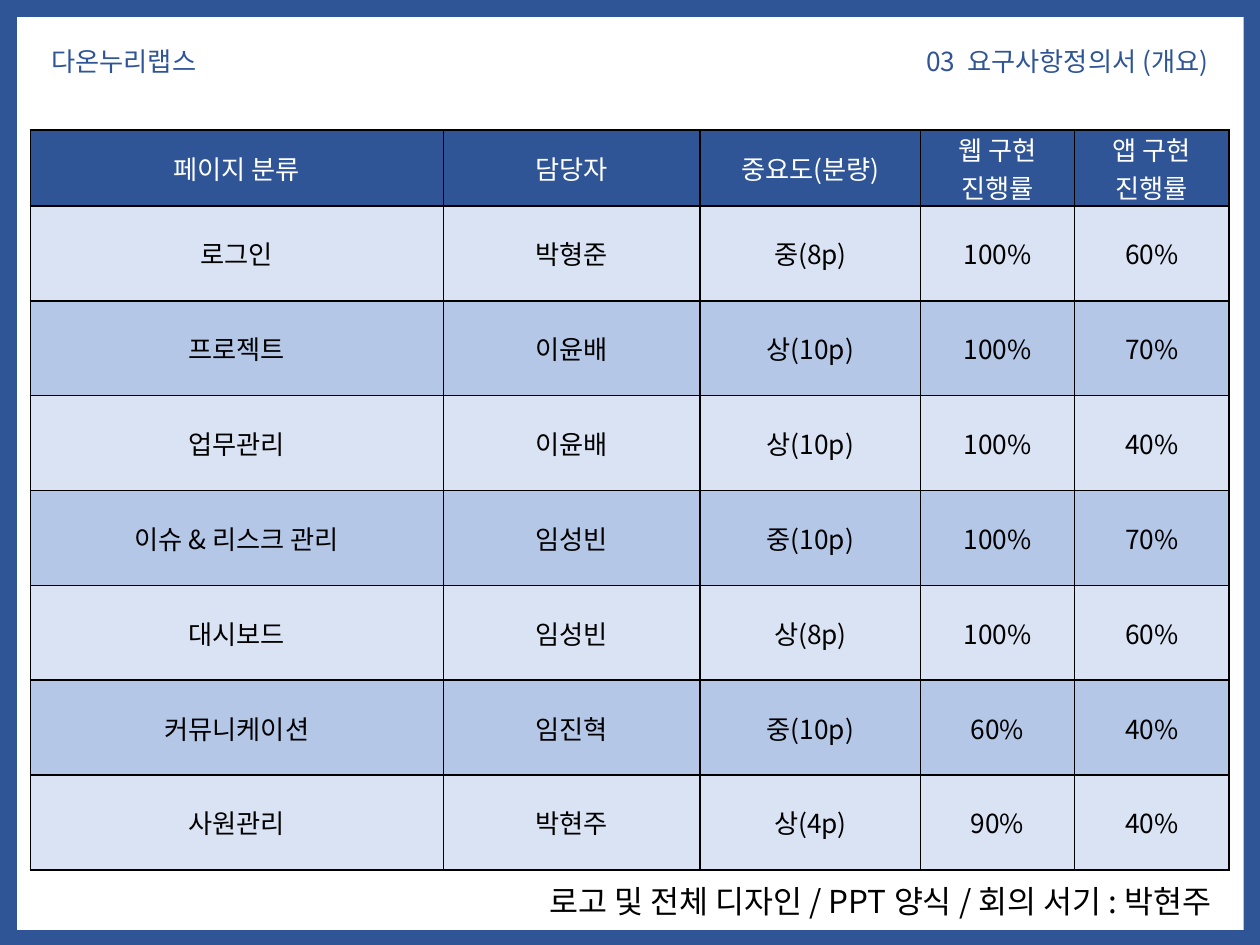
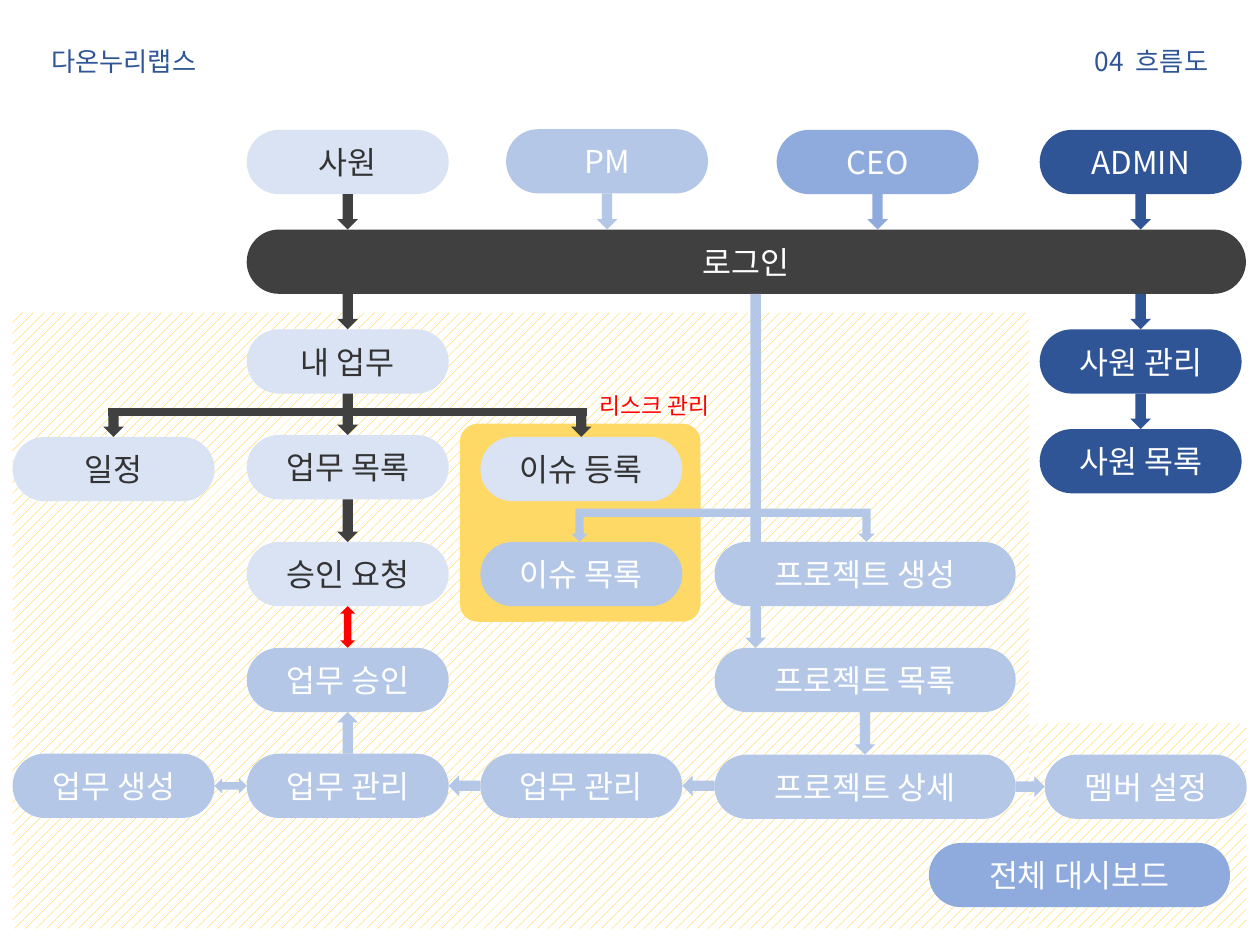
import pptx
import pptx.util
import pptx.dml.color
import pptx.enum.dml
import pptx.enum.shapes
import pptx.enum.text
import pptx.oxml
import pptx.oxml.ns
import lxml.etree

Pt = pptx.util.Pt
MSO = pptx.enum.shapes.MSO_SHAPE
ALIGN = pptx.enum.text.PP_ALIGN
MIDDLE = pptx.enum.text.MSO_ANCHOR.MIDDLE
qn = pptx.oxml.ns.qn

# ---------- Shared style ----------
FONT = "Noto Sans CJK KR"
COLORS = {
    "navy": "2F5597", "blue": "8FAADC", "sky": "B4C7E7", "pale": "DAE3F3",
    "dark": "404040", "ink": "333333", "black": "000000", "white": "FFFFFF",
    "red": "FF0000", "amber": "FFC000", "yellow": "FFD966",
}
COMPANY = "다온누리랩스"
HEADER_Y, HEADER_W, HEADER_H = 22.3, 211.7, 25.2

# ---------- Content: requirements table ----------
TABLE_AT = (17.3, 74.2)
COL_WIDTHS = [236.1, 146.7, 126, 87.9, 88.3]
HEAD_H, ROW_H = 43.4, 54.2
TABLE_HEAD = ["페이지 분류", "담당자", "중요도(분량)", "웹 구현\n진행률", "앱 구현\n진행률"]
TABLE_ROWS = [
    ["로그인", "박형준", "중(8p)", "100%", "60%"],
    ["프로젝트", "이윤배", "상(10p)", "100%", "70%"],
    ["업무관리", "이윤배", "상(10p)", "100%", "40%"],
    ["이슈 & 리스크 관리", "임성빈", "중(10p)", "100%", "70%"],
    ["대시보드", "임성빈", "상(8p)", "100%", "60%"],
    ["커뮤니케이션", "임진혁", "중(10p)", "60%", "40%"],
    ["사원관리", "박현주", "상(4p)", "90%", "40%"],
]
CREDITS = "로고 및 전체 디자인 / PPT 양식 / 회의 서기 : 박현주"

# ---------- Content: flow chart ----------
BOX_W, WIDE_W, LOGIN_W, BOX_H = 115.4, 172.1, 571, 36.7
COL = {"a": 7.2, "b": 141, "c": 274.5, "d": 408.3, "e": 594.1, "f": 597}
# key: (text, left, top, width, colour)
BOXES = {
    "staff": ("사원", COL["b"], 74.2, BOX_W, "pale"),
    "pm": ("PM", 289.2, 73.8, BOX_W, "sky"),
    "ceo": ("CEO", 443.8, 74.2, BOX_W, "blue"),
    "admin": ("ADMIN", COL["e"], 74.2, BOX_W, "navy"),
    "login": ("로그인", COL["b"], 131.2, LOGIN_W, "dark"),
    "my work": ("내 업무", COL["b"], 188.2, BOX_W, "pale"),
    "schedule": ("일정", COL["a"], 249.7, BOX_W, "pale"),
    "work list": ("업무 목록", COL["b"], 248.6, BOX_W, "pale"),
    "add issue": ("이슈 등록", COL["c"], 249.7, BOX_W, "pale"),
    "request": ("승인 요청", COL["b"], 309.7, BOX_W, "pale"),
    "issue list": ("이슈 목록", COL["c"], 309.7, BOX_W, "sky"),
    "approve": ("업무 승인", COL["b"], 370.2, BOX_W, "sky"),
    "manage": ("업무 관리", COL["b"], 430.7, BOX_W, "sky"),
    "add work": ("업무 생성", COL["a"], 430.7, BOX_W, "sky"),
    "staff admin": ("사원 관리", COL["e"], 188.2, BOX_W, "navy"),
    "staff list": ("사원 목록", COL["e"], 245.2, BOX_W, "navy"),
    "project work": ("업무 관리", COL["c"], 430.7, BOX_W, "sky"),
    "add project": ("프로젝트 생성", COL["d"], 309.7, WIDE_W, "sky"),
    "projects": ("프로젝트 목록", COL["d"], 370.2, WIDE_W, "sky"),
    "project": ("프로젝트 상세", COL["d"], 431.2, WIDE_W, "sky"),
    "members": ("멤버 설정", COL["f"], 431.2, BOX_W, "sky"),
    "dashboard": ("전체 대시보드", 530.8, 481.7, WIDE_W, "blue"),
}
ARROW_W, DOUBLE_W = 11.8, 8.6
# (upper box, lower box, shape, colour)
DOWN_LINKS = [
    ("staff", "login", MSO.DOWN_ARROW, "dark"),
    ("pm", "login", MSO.DOWN_ARROW, "sky"),
    ("ceo", "login", MSO.DOWN_ARROW, "blue"),
    ("admin", "login", MSO.DOWN_ARROW, "navy"),
    ("login", "my work", MSO.DOWN_ARROW, "dark"),
    ("login", "staff admin", MSO.DOWN_ARROW, "navy"),
    ("staff admin", "staff list", MSO.DOWN_ARROW, "navy"),
    ("my work", "work list", MSO.DOWN_ARROW, "dark"),
    ("work list", "request", MSO.DOWN_ARROW, "dark"),
    ("request", "approve", MSO.UP_DOWN_ARROW, "red"),
    ("approve", "manage", MSO.UP_ARROW, "sky"),
    ("projects", "project", MSO.DOWN_ARROW, "sky"),
]
# (left box, right box, shape)
SIDE_LINKS = [
    ("add work", "manage", MSO.LEFT_RIGHT_ARROW),
    ("manage", "project work", MSO.LEFT_ARROW),
    ("project work", "project", MSO.LEFT_ARROW),
    ("project", "members", MSO.RIGHT_ARROW),
]
HATCHED = [(568.8, 413.3, 143.3, 116.9), (7.2, 178.6, 581, 352)]
ISSUE_PANEL = (262.8, 242.1, 137.5, 113.2)
BRANCH_Y = 235.6
TRUNK_X = 431.8
# (left, top, width, height), flipped sideways
BENT_ARROWS = [((326.4, 290.7, 107.1, 19), True), ((427.5, 290.7, 72.4, 19), False)]


# ---------- Helpers ----------
def rgb(name):
    return pptx.dml.color.RGBColor.from_string(COLORS[name])


def add_run(p, text, size, color):
    r = p.add_run()
    r.text = text
    r.font.size = Pt(size)
    r.font.name = FONT
    r.font.color.rgb = rgb(color)
    ea = lxml.etree.SubElement(r.font._element, qn("a:ea"))
    ea.set("typeface", FONT)
    return r


def write(tf, text, size, color, align=ALIGN.CENTER):
    for i, line in enumerate(text.split("\n")):
        p = tf.add_paragraph() if i else tf.paragraphs[0]
        p.alignment = align
        add_run(p, line, size, color)


def add_shape(shapes, kind, at, color):
    sp = shapes.add_shape(kind, *map(Pt, at))
    sp.shadow.inherit = False
    sp.line.fill.background()
    sp.fill.solid()
    sp.fill.fore_color.rgb = rgb(color)
    return sp


def add_text(s, at, text, size, color, align):
    tf = s.shapes.add_textbox(*map(Pt, at)).text_frame
    tf.word_wrap = True
    tf.vertical_anchor = MIDDLE
    write(tf, text, size, color, align)


def add_header(s, number, title):
    add_text(s, (22.3, HEADER_Y, HEADER_W, HEADER_H), COMPANY, 15, "navy", ALIGN.LEFT)
    sp = s.shapes.title
    sp.left, sp.top, sp.width, sp.height = map(Pt, (486, HEADER_Y, HEADER_W, HEADER_H))
    tf = sp.text_frame
    tf.auto_size = pptx.enum.text.MSO_AUTO_SIZE.NONE
    tf.vertical_anchor = MIDDLE
    p = tf.paragraphs[0]
    p.alignment = ALIGN.RIGHT
    add_run(p, number, 15, "navy")
    gap = add_run(p, " ", 15, "navy")
    gap.font._element.set("spc", "340")
    add_run(p, title, 15, "navy")
    sp.element.getparent().append(sp.element)  # bring the title to the front


def set_borders(cell):
    tcPr = cell._tc.get_or_add_tcPr()
    for i, side in enumerate(("lnL", "lnR", "lnT", "lnB")):
        ln = lxml.etree.Element(qn("a:" + side), w=str(Pt(1)))
        fill = lxml.etree.SubElement(ln, qn("a:solidFill"))
        lxml.etree.SubElement(fill, qn("a:srgbClr"), val=COLORS["black"])
        tcPr.insert(i, ln)


# ---------- Slides ----------
def build_requirements(s):
    # Frame
    frame = s.shapes.add_group_shape()
    add_shape(frame.shapes, MSO.RECTANGLE, (0, 0, 720, 540), "navy")
    add_shape(frame.shapes, MSO.RECTANGLE, (9.8, 9.8, 700.8, 531.4 - 9.8), "white")
    add_header(s, "03", "요구사항정의서 (개요)")

    # Table
    rows = [TABLE_HEAD] + TABLE_ROWS
    size = (sum(COL_WIDTHS), HEAD_H + ROW_H * len(TABLE_ROWS))
    table = s.shapes.add_table(len(rows), len(COL_WIDTHS), *map(Pt, TABLE_AT + size)).table
    for col, width in zip(table.columns, COL_WIDTHS):
        col.width = Pt(width)
    for i, texts in enumerate(rows):
        table.rows[i].height = Pt(ROW_H if i else HEAD_H)
        fill = ("sky" if i % 2 == 0 else "pale") if i else "navy"
        for j, text in enumerate(texts):
            cell = table.cell(i, j)
            cell.fill.solid()
            cell.fill.fore_color.rgb = rgb(fill)
            cell.vertical_anchor = MIDDLE
            cell.margin_top = cell.margin_bottom = 0
            write(cell.text_frame, text, 15, "black" if i else "white")
            set_borders(cell)

    # Credits
    add_text(s, (272.2, 500.4, 427, 28.8), CREDITS, 18, "black", ALIGN.RIGHT)


def build_flow(s):
    # Background areas
    for at in HATCHED:
        sp = add_shape(s.shapes, MSO.RECTANGLE, at, "white")
        sp.fill.patterned()
        sp.fill.pattern = pptx.enum.dml.MSO_PATTERN.PERCENT_20
        sp.fill.fore_color.rgb = rgb("amber")
        sp.fill.back_color.rgb = rgb("white")
    panel = add_shape(s.shapes, MSO.ROUNDED_RECTANGLE, ISSUE_PANEL, "yellow")
    panel.adjustments[0] = 0.09
    add_header(s, "04", "흐름도")

    # Boxes
    for text, x, y, w, color in BOXES.values():
        sp = add_shape(s.shapes, MSO.ROUNDED_RECTANGLE, (x, y, w, BOX_H), color)
        sp.adjustments[0] = 0.5
        sp.text_frame.vertical_anchor = MIDDLE
        write(sp.text_frame, text, 18, "ink" if color == "pale" else "white")

    def top(key):
        return BOXES[key][2]

    def bottom(key):
        return top(key) + BOX_H

    def center(key):
        return BOXES[key][1] + BOXES[key][3] / 2

    def add_vertical(kind, cx, y1, y2, color):
        w = DOUBLE_W if kind == MSO.UP_DOWN_ARROW else ARROW_W
        add_shape(s.shapes, kind, (cx - w / 2, y1, w, y2 - y1), color)

    # Arrows filling the gaps between boxes
    for upper, lower, kind, color in DOWN_LINKS:
        cx = center(lower if upper == "login" else upper)
        add_vertical(kind, cx, bottom(upper), top(lower), color)
    for left, right, kind in SIDE_LINKS:
        x1 = BOXES[left][1] + BOXES[left][3]
        h = DOUBLE_W if kind == MSO.LEFT_RIGHT_ARROW else ARROW_W
        cy = top(left) + BOX_H / 2
        add_shape(s.shapes, kind, (x1, cy - h / 2, BOXES[right][1] - x1, h), "sky")
    add_vertical(MSO.DOWN_ARROW, TRUNK_X, bottom("login"), top("projects"), "sky")

    # Branch to schedule and issue registration
    ends = ("schedule", "add issue")
    for key in ends:
        add_vertical(MSO.DOWN_ARROW, center(key), BRANCH_Y, top(key), "dark")
    x1, x2 = center(ends[0]) - 3, center(ends[1]) + 3
    line = s.shapes.add_connector(pptx.enum.shapes.MSO_CONNECTOR.STRAIGHT,
                                  Pt(x1), Pt(BRANCH_Y), Pt(x2), Pt(BRANCH_Y))
    line.line.color.rgb = rgb("dark")
    line.line.width = Pt(4.5)
    lxml.etree.SubElement(line.element.spPr, qn("a:effectLst"))

    # Branch to issue list and project creation
    for at, mirrored in BENT_ARROWS:
        xfrm = add_shape(s.shapes, MSO.BENT_UP_ARROW, at, "sky").element.spPr.xfrm
        xfrm.set("flipV", "1")
        if mirrored:
            xfrm.set("flipH", "1")
    add_text(s, (331.9, 220.3, 84.2, 23), "리스크 관리", 13, "red", ALIGN.CENTER)


def main():
    prs = pptx.Presentation()
    prs.slide_width, prs.slide_height = Pt(720), Pt(540)
    for build in (build_requirements, build_flow):
        build(prs.slides.add_slide(prs.slide_layouts[5]))
    prs.save("out.pptx")


if __name__ == "__main__":
    main()
